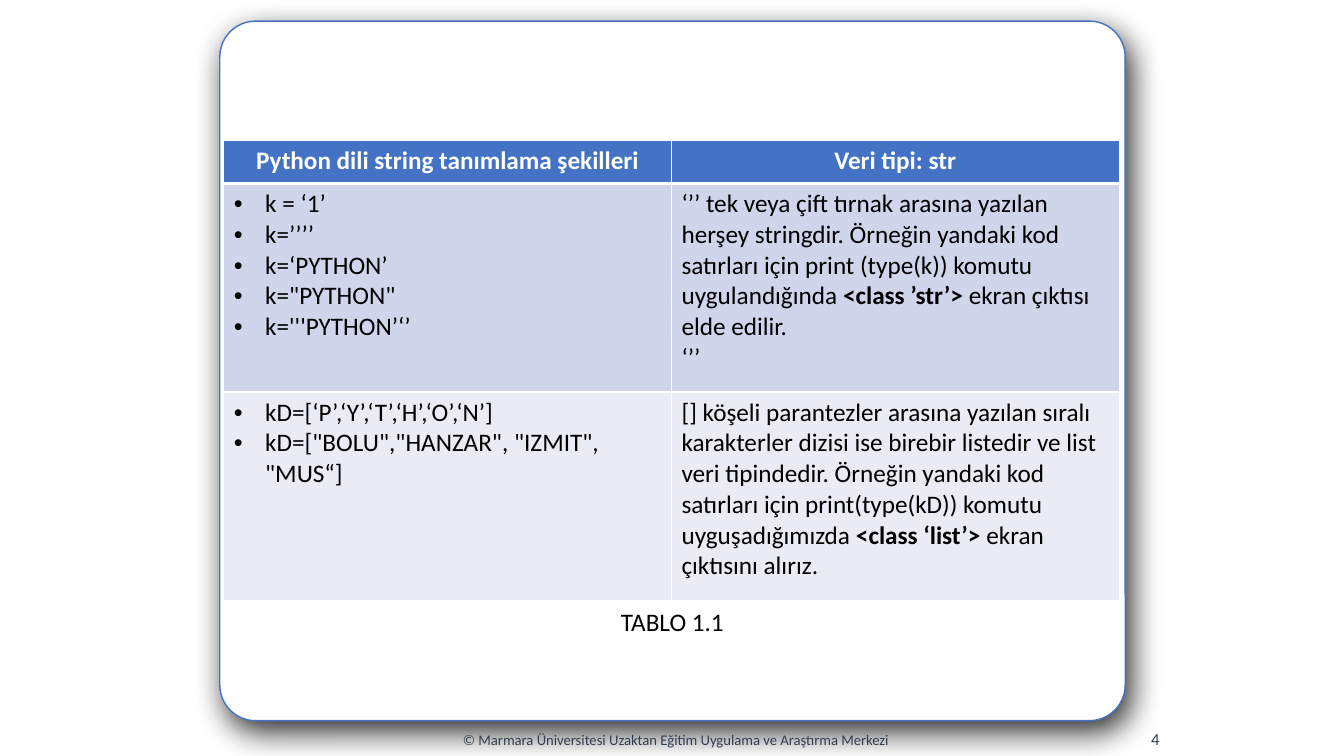
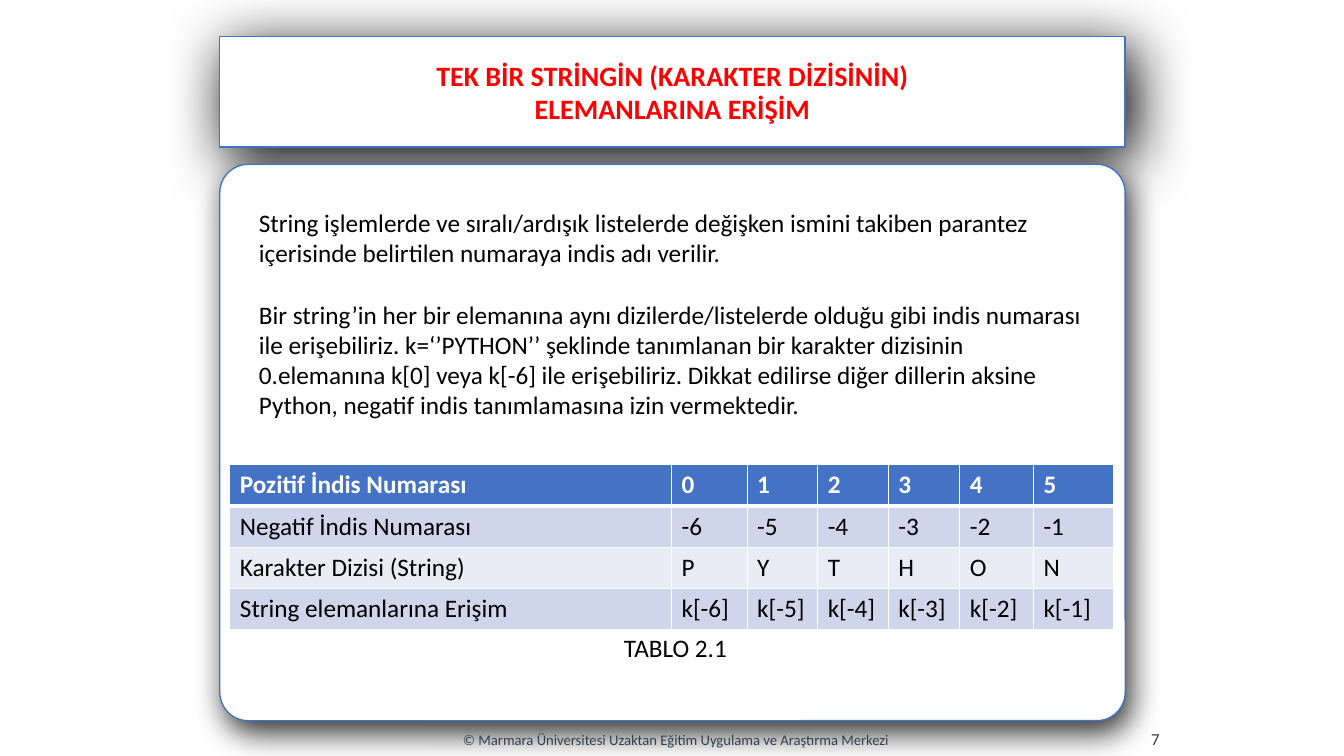
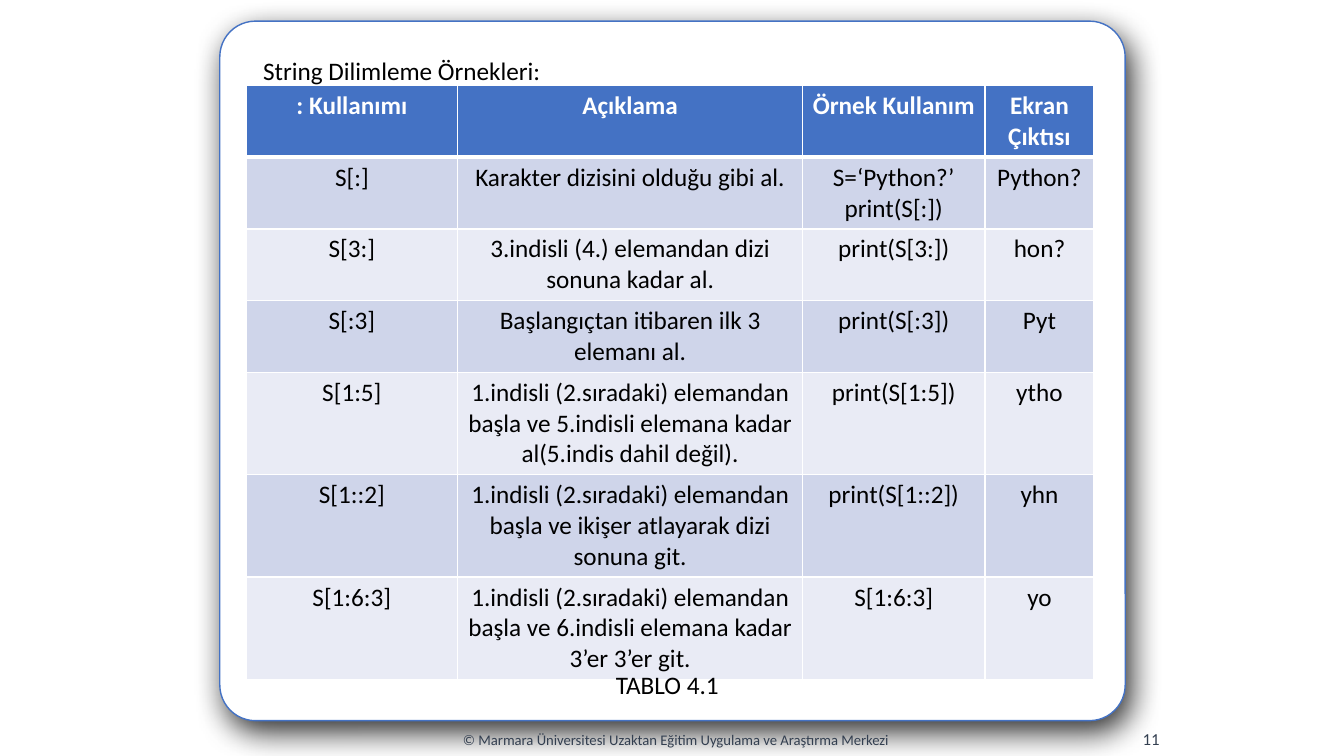
from pptx import Presentation
from pptx.dml.color import RGBColor
from pptx.enum.shapes import MSO_SHAPE
from pptx.enum.text import MSO_ANCHOR, MSO_AUTO_SIZE, PP_ALIGN
from pptx.oxml import parse_xml
from pptx.oxml.ns import nsdecls, qn
from pptx.util import Inches, Pt

BLUE = RGBColor(0x44, 0x72, 0xC4)
BAND_DARK = RGBColor(0xCF, 0xD5, 0xEA)
BAND_LIGHT = RGBColor(0xE9, 0xEB, 0xF5)
WHITE = RGBColor(0xFF, 0xFF, 0xFF)
BLACK = RGBColor(0, 0, 0)
RED = RGBColor(0xFF, 0, 0)
SLATE = RGBColor(0x33, 0x3F, 0x50)
FONT = "Calibri"
LEFT, CENTER, RIGHT = PP_ALIGN.LEFT, PP_ALIGN.CENTER, PP_ALIGN.RIGHT
FOOTER = "© Marmara Üniversitesi Uzaktan Eğitim Uygulama ve Araştırma Merkezi"
CARD_X, CARD_W, CARD_BOTTOM = 2.18, 8.98, 7.15
TITLE_ONLY, BLANK = 5, 6


def xml(tag, attrs="", inner=""):
    return parse_xml(f"<a:{tag} {nsdecls('a')} {attrs}>{inner}</a:{tag}>")


def write(tf, text, size=18, color=BLACK, bold=False, align=LEFT,
          anchor=MSO_ANCHOR.TOP, bullet=False, gap=0):
    tf.word_wrap = True
    tf.vertical_anchor = anchor
    for i, line in enumerate(text.split("\n")):
        p = tf.paragraphs[0] if i == 0 else tf.add_paragraph()
        p.alignment = align
        if bullet:
            pPr = p._p.get_or_add_pPr()
            pPr.set("marL", str(Inches(0.31)))
            pPr.set("indent", str(-Inches(0.31)))
            pPr.append(xml("buFont", 'typeface="Arial"'))
            pPr.append(xml("buChar", 'char="•"'))
        if i and gap:
            p.space_before = Pt(gap)
        for j, part in enumerate(line.split("**")):
            r = p.add_run()
            r.text = part
            r.font.name = FONT
            r.font.size = Pt(size)
            r.font.bold = bold or j % 2 == 1
            r.font.color.rgb = color


def add_text(s, box, text, **fmt):
    tf = s.shapes.add_textbox(*map(Inches, box)).text_frame
    write(tf, text, **fmt)


def place_title(s, box, text, **fmt):
    title = s.shapes.title
    title.left, title.top, title.width, title.height = map(Inches, box)
    title.text_frame.auto_size = MSO_AUTO_SIZE.NONE
    write(title.text_frame, text, **fmt)
    return title


def style_card(sp, alpha, blur, angle):
    sp.fill.solid()
    sp.fill.fore_color.rgb = WHITE
    sp.line.color.rgb = BLUE
    sp.line.width = Pt(1)
    sp.shadow.inherit = False
    color = f'<a:srgbClr val="000000"><a:alpha val="{alpha * 1000}"/></a:srgbClr>'
    attrs = (f'blurRad="{Pt(blur)}" dist="{Pt(9)}" dir="{angle * 60000}" '
             'algn="tl" rotWithShape="0"')
    effects = sp._element.spPr.find(qn("a:effectLst"))
    effects.append(xml("outerShdw", attrs, color))


def add_card(s, top):
    box = (CARD_X, top, CARD_W, CARD_BOTTOM - top)
    sp = s.shapes.add_shape(MSO_SHAPE.ROUNDED_RECTANGLE, *map(Inches, box))
    sp.adjustments[0] = 0.051
    style_card(sp, 81, 23, 64)


def add_footer(s, number):
    add_text(s, (3.75, 7.14, 5.91, 0.4), FOOTER, size=10.5, color=SLATE,
             align=CENTER, anchor=MSO_ANCHOR.MIDDLE)
    add_text(s, (9.27, 7.13, 2.33, 0.4), str(number), size=12, color=SLATE,
             align=RIGHT, anchor=MSO_ANCHOR.MIDDLE)


def set_borders(cell, top, bottom):
    tcPr = cell._tc.get_or_add_tcPr()
    fill = f'<a:solidFill><a:srgbClr val="{WHITE}"/></a:solidFill>'
    for side, width in (("L", 1), ("R", 1), ("T", top), ("B", bottom)):
        tcPr.append(xml(f"ln{side}", f'w="{Pt(width)}"', fill))


def add_table(s, x, y, widths, heights, rows, head_align=LEFT,
              body_align=LEFT, bullet_col=None):
    box = (x, y, sum(widths), sum(heights))
    table = s.shapes.add_table(len(rows), len(widths), *map(Inches, box)).table
    for column, width in zip(table.columns, widths):
        column.width = Inches(width)
    for i, (row, height) in enumerate(zip(rows, heights)):
        table.rows[i].height = Inches(height)
        head = i == 0
        for j, text in enumerate(row):
            cell = table.cell(i, j)
            set_borders(cell, 3 if i == 1 else 1, 3 if head else 1)
            cell.fill.solid()
            cell.fill.fore_color.rgb = (
                BLUE if head else BAND_DARK if i % 2 else BAND_LIGHT)
            write(cell.text_frame, text, color=WHITE if head else BLACK,
                  bold=head, align=head_align if head else body_align,
                  bullet=not head and j == bullet_col)


def definitions_slide(prs):
    s = prs.slides.add_slide(prs.slide_layouts[BLANK])
    add_card(s, 0.21)
    add_footer(s, 4)
    rows = [
        ("Python dili string tanımlama şekilleri", "Veri tipi: str"),
        ("k = ‘1’\nk=’’’’\nk=‘PYTHON’\nk=\"PYTHON\"\nk='''PYTHON’‘’",
         "‘’’ tek veya çift tırnak arasına yazılan herşey stringdir. Örneğin "
         "yandaki kod satırları için print (type(k)) komutu uygulandığında "
         "**<class ’str’> **ekran çıktısı elde edilir.\n‘’’"),
        ("kD=[‘P’,‘Y’,‘T’,‘H’,‘O’,‘N’]\n"
         "kD=[\"BOLU\",\"HANZAR\", \"IZMIT\", \"MUS“]",
         "[] köşeli parantezler arasına yazılan sıralı karakterler dizisi ise "
         "birebir listedir ve list veri tipindedir. Örneğin yandaki kod "
         "satırları için print(type(kD)) komutu uyguşadığımızda "
         "**<class ‘list’> **ekran çıktısını alırız."),
    ]
    add_table(s, 2.22, 1.39, [4.44] * 2, [0.43, 2.07, 2.07], rows,
              head_align=CENTER, bullet_col=0)
    add_text(s, (6.06, 5.97, 1.31, 0.4), "TABLO 1.1")


def index_slide(prs):
    s = prs.slides.add_slide(prs.slide_layouts[TITLE_ONLY])
    title = place_title(
        s, (CARD_X, 0.36, CARD_W, 1.1),
        "TEK BİR STRİNGİN (KARAKTER DİZİSİNİN)\nELEMANLARINA ERİŞİM",
        size=20, color=RED, bold=True, align=CENTER, anchor=MSO_ANCHOR.MIDDLE)
    title._element.spPr.append(xml("prstGeom", 'prst="roundRect"', "<a:avLst/>"))
    style_card(title, 99, 43, 60)
    add_card(s, 1.63)
    add_footer(s, 7)
    add_text(
        s, (2.47, 2.01, 8.43, 2.22),
        "String işlemlerde ve sıralı/ardışık listelerde değişken ismini takiben "
        "parantez içerisinde belirtilen numaraya indis adı verilir.\n"
        "Bir string’in her bir elemanına aynı dizilerde/listelerde olduğu gibi "
        "indis numarası ile erişebiliriz. k=‘’PYTHON’’ şeklinde tanımlanan bir "
        "karakter dizisinin 0.elemanına k[0] veya k[-6] ile erişebiliriz. Dikkat "
        "edilirse diğer dillerin aksine Python, negatif indis tanımlamasına izin "
        "vermektedir.", gap=22)
    negatives = range(-6, 0)
    rows = [
        ["Pozitif İndis Numarası", *map(str, range(6))],
        ["Negatif İndis Numarası", *map(str, negatives)],
        ["Karakter Dizisi (String)", *"PYTHON"],
        ["String elemanlarına Erişim", *(f"k[{n}]" for n in negatives)],
    ]
    add_table(s, 2.28, 4.61, [4.38, 0.75, 0.7, 0.7, 0.71, 0.73, 0.8],
              [0.41] * 4, rows)
    add_text(s, (6.09, 6.22, 1.25, 0.4), "TABLO 2.1")


def slicing_slide(prs):
    s = prs.slides.add_slide(prs.slide_layouts[TITLE_ONLY])
    add_card(s, 0.21)
    add_footer(s, 11)
    title = place_title(s, (2.51, 0.5, 8.28, 0.4), "String Dilimleme Örnekleri:")
    s.shapes.element.append(title.element)
    start = "1.indisli (2.sıradaki) elemandan başla ve "
    rows = [
        (": Kullanımı", "Açıklama", "Örnek Kullanım", "Ekran Çıktısı"),
        ("S[:]", "Karakter dizisini olduğu gibi al.",
         "S=‘Python?’\nprint(S[:])", "Python?"),
        ("S[3:]", "3.indisli (4.) elemandan dizi sonuna kadar al.",
         "print(S[3:])", "hon?"),
        ("S[:3]", "Başlangıçtan itibaren ilk 3 elemanı al.",
         "print(S[:3])", "Pyt"),
        ("S[1:5]", start + "5.indisli elemana kadar al(5.indis dahil değil).",
         "print(S[1:5])", "ytho"),
        ("S[1::2]", start + "ikişer atlayarak dizi sonuna git.",
         "print(S[1::2])", "yhn"),
        ("S[1:6:3]", start + "6.indisli elemana kadar 3’er 3’er git.",
         "S[1:6:3]", "yo"),
    ]
    add_table(s, 2.44, 0.85, [2.1, 3.42, 1.81, 1.08], [0.7] * 4 + [1] * 3,
              rows, head_align=CENTER, body_align=CENTER)
    add_text(s, (6.01, 6.59, 1.57, 0.4), "TABLO 4.1")


def main():
    prs = Presentation()
    prs.slide_width, prs.slide_height = Inches(13.33), Inches(7.5)
    definitions_slide(prs)
    index_slide(prs)
    slicing_slide(prs)
    prs.save("out.pptx")


if __name__ == "__main__":
    main()
